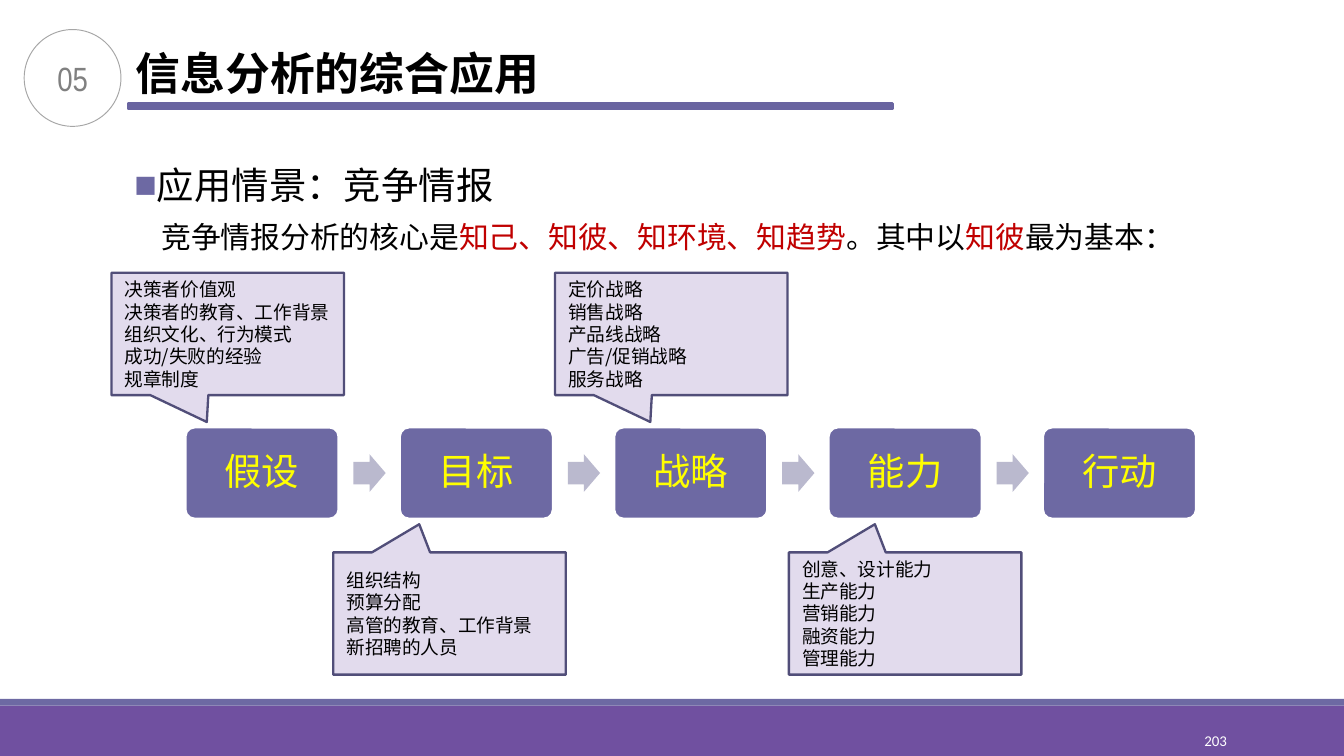
from pptx import Presentation
from pptx import util as u
from pptx.dml.color import RGBColor
from pptx.enum import shapes, text
from pptx.oxml.ns import qn
from lxml import etree

Inches = u.Inches
Kind = shapes.MSO_SHAPE
Align = text.PP_ALIGN
Anchor = text.MSO_ANCHOR
SMALL_INSETS = (0.07, 0.04)
NORMAL_INSETS = (0.1, 0.05)


def color(value):
    return RGBColor.from_string(value)


def write(paragraph, words, size=10, ink="000000", font="Noto Sans CJK SC", bold=False):
    """Add one formatted run, with the same font for Latin and Chinese letters."""
    run = paragraph.add_run()
    run.text = words
    run.font.size = u.Pt(size)
    run.font.bold = bold
    run.font.color.rgb = color(ink)
    run.font.name = font
    east_asian = etree.SubElement(run.font._element, qn("a:ea"))
    east_asian.set("typeface", font)


def set_bullet(paragraph, margin, indent=0, mark=None, ink=None):
    properties = paragraph._p.get_or_add_pPr()
    properties.set("marL", str(Inches(margin)))
    properties.set("indent", str(Inches(indent)))
    if mark is None:
        etree.SubElement(properties, qn("a:buNone"))
        return
    bullet_color = etree.SubElement(properties, qn("a:buClr"))
    etree.SubElement(bullet_color, qn("a:srgbClr")).set("val", ink)
    etree.SubElement(properties, qn("a:buChar")).set("char", mark)


class SlideBuilder:
    purple = "6D69A3"
    red = "C00000"

    def __init__(self, slide):
        self.slide = slide

    def frame(self, shape, anchor, insets=NORMAL_INSETS, wrap=True):
        frame = shape.text_frame
        frame.auto_size = text.MSO_AUTO_SIZE.NONE
        frame.word_wrap = wrap
        frame.vertical_anchor = anchor
        frame.margin_left = frame.margin_right = Inches(insets[0])
        frame.margin_top = frame.margin_bottom = Inches(insets[1])
        return frame

    def place(self, shape, box):
        shape.left, shape.top, shape.width, shape.height = map(Inches, box)

    def shape(self, kind, box, fill=None, line=None, width=1.25, adjustments=()):
        shape = self.slide.shapes.add_shape(kind, *map(Inches, box))
        shape.shadow.inherit = False
        if fill:
            shape.fill.solid()
            shape.fill.fore_color.rgb = color(fill)
        else:
            shape.fill.background()
        if line:
            shape.line.color.rgb = color(line)
            shape.line.width = u.Pt(width)
        else:
            shape.line.fill.background()
        for index, value in enumerate(adjustments):
            shape.adjustments[index] = value
        return shape

    def label(self, shape, words, align=Align.CENTER, insets=SMALL_INSETS, **style):
        paragraph = self.frame(shape, Anchor.MIDDLE, insets).paragraphs[0]
        paragraph.alignment = align
        write(paragraph, words, **style)
        return paragraph

    def title(self, words, box):
        title = self.slide.shapes.title
        self.place(title, box)
        paragraph = self.frame(title, Anchor.TOP, SMALL_INSETS, wrap=False).paragraphs[0]
        paragraph.alignment = Align.LEFT
        write(paragraph, words, size=24, bold=True)

    def body(self, heading, runs, box):
        body = self.slide.placeholders[1]
        self.place(body, box)
        frame = self.frame(body, Anchor.TOP)
        first = frame.paragraphs[0]
        first.space_before = u.Pt(0)
        set_bullet(first, 0.07, -0.07, "■", self.purple)
        write(first, heading, size=20)
        second = frame.add_paragraph()
        second.space_before = u.Pt(6)
        set_bullet(second, 0.2)
        for words, ink in runs:
            write(second, words, size=16, ink=ink)

    def step(self, words, left):
        box = self.shape(Kind.ROUNDED_RECTANGLE, (left, 3.18, 1.14, 0.68),
                         self.purple, "FFFFFF", adjustments=[0.1])
        paragraph = self.label(box, words, insets=(0.1, 0.1), size=20, ink="FFFF00")
        paragraph.line_spacing = 0.9

    def arrow(self, left):
        self.shape(Kind.RIGHT_ARROW, (left, 3.38, 0.24, 0.28), "BAB9CE",
                   adjustments=[0.6, 0.5])

    def callout(self, left, top, tail, lines):
        box = self.shape(Kind.RECTANGULAR_CALLOUT, (left, top, 1.73, 0.91),
                         "E2DBED", "514E79", adjustments=tail)
        frame = self.frame(box, Anchor.MIDDLE)
        for index, words in enumerate(lines):
            paragraph = frame.add_paragraph() if index else frame.paragraphs[0]
            paragraph.alignment = Align.LEFT
            write(paragraph, words)


def main():
    presentation = Presentation()
    presentation.slide_width = Inches(10)
    presentation.slide_height = presentation.slide_width * 9 // 16
    slide = presentation.slides.add_slide(presentation.slide_layouts[1])
    builder = SlideBuilder(slide)

    footer_top = 5.25
    footer_height = presentation.slide_height / Inches(1) - footer_top
    builder.shape(Kind.RECTANGLE, (0, footer_top, 10, footer_height), "7050A0")
    builder.shape(Kind.RECTANGLE, (0, 5.2, 10, 0.05), builder.purple)
    page_number = slide.shapes.add_textbox(*map(Inches, (8.12, 5.36, 1.08, 0.3)))
    builder.label(page_number, "203", Align.RIGHT, size=8, ink="FFFFFF", font="Calibri")

    builder.shape(Kind.RECTANGLE, (0.95, 0.77, 5.69, 0.04), "6964A0", "6964A0")
    badge = builder.shape(Kind.OVAL, (0.18, 0.22, 0.72, 0.72), line="A6A6A6", width=0.5)
    builder.label(badge, "05", size=18, ink="808080", font="Arial Narrow")
    builder.title("信息分析的综合应用", (0.94, 0.3, 3.2, 0.48))
    builder.body("应用情景：竞争情报", [
        ("竞争情报分析的核心是", "000000"),
        ("知己、知彼、知环境、知趋势", builder.red),
        ("。其中以", "000000"),
        ("知彼", builder.red),
        ("最为基本：", "000000"),
    ], (0.9, 1.16, 8.61, 3.86))

    steps = ["假设", "目标", "战略", "能力", "行动"]
    first_left, last_left = 1.38, 7.76
    pitch = (last_left - first_left) / (len(steps) - 1)
    for index, words in enumerate(steps):
        left = first_left + index * pitch
        builder.step(words, left)
        if index < len(steps) - 1:
            builder.arrow(left + 1.25)

    above = (2.03, (-0.09, 0.72))
    below = (4.11, (-0.13, -0.73))
    callouts = [
        (0.83, above, ["决策者价值观", "决策者的教育、工作背景", "组织文化、行为模式",
                       "成功/失败的经验", "规章制度"]),
        (2.48, below, ["组织结构", "预算分配", "高管的教育、工作背景", "新招聘的人员"]),
        (5.87, below, ["创意、设计能力", "生产能力", "营销能力", "融资能力", "管理能力"]),
        (4.13, above, ["定价战略", "销售战略", "产品线战略", "广告/促销战略", "服务战略"]),
    ]
    for left, (top, tail), lines in callouts:
        builder.callout(left, top, tail, lines)

    presentation.save("out.pptx")


if __name__ == "__main__":
    main()
